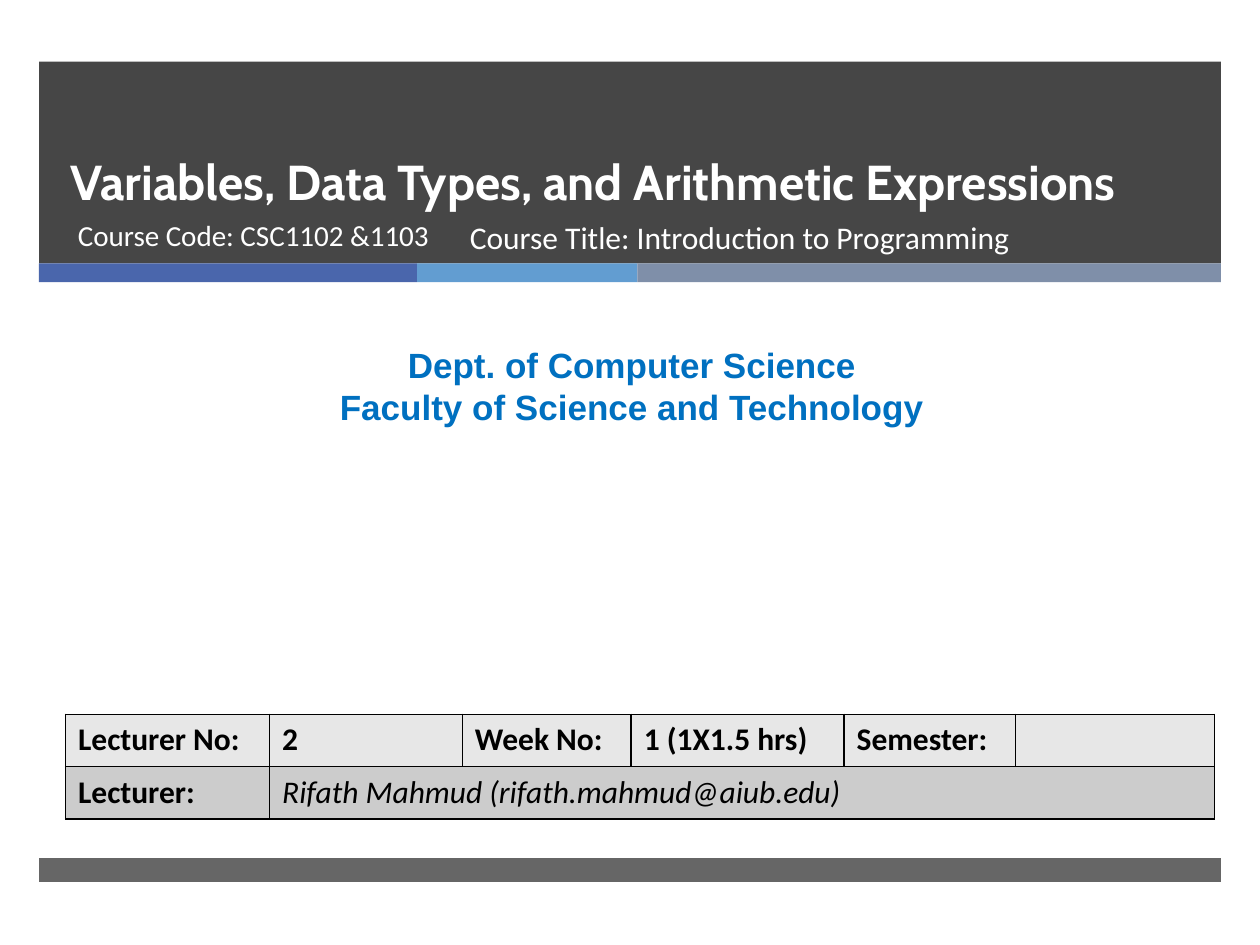
from lxml import etree
from pptx import Presentation
from pptx.dml.color import RGBColor
from pptx.enum.shapes import MSO_SHAPE
from pptx.enum.text import MSO_ANCHOR, PP_ALIGN
from pptx.oxml import parse_xml
from pptx.oxml.ns import nsdecls, qn
from pptx.util import Inches, Pt

RECTANGLE = MSO_SHAPE.RECTANGLE
TOP, BOTTOM = MSO_ANCHOR.TOP, MSO_ANCHOR.BOTTOM
LEFT, CENTER = PP_ALIGN.LEFT, PP_ALIGN.CENTER
COLORS = {
    "dark": "262626", "indigo": "4A66AC", "sky": "629DD1", "slate": "7F8FA9",
    "white": "FFFFFF", "department": "0070C0", "black": "000000",
    "light_row": "E7E7E7", "dark_row": "CCCCCC",
}
MARGIN, BAND_WIDTH = 0.31, 9.38


def rgb(name):
    """Return the named colour."""
    return RGBColor.from_string(COLORS[name])


def add_bar(slide, box, color, opacity=100):
    """Add a plain filled rectangle, optionally translucent."""
    shape = slide.shapes.add_shape(RECTANGLE, *map(Inches, box))
    shape.shadow.inherit = False
    shape.fill.solid()
    shape.fill.fore_color.rgb = rgb(color)
    shape.line.fill.background()
    if opacity < 100:
        color_element = shape.fill._xPr.find(qn("a:solidFill"))[0]
        etree.SubElement(color_element, qn("a:alpha")).set("val", str(opacity * 1000))


def style_font(font, name, size, color, bold=False, italic=False):
    """Set the look of a font."""
    font.name, font.size = name, Pt(size)
    font.bold, font.italic = bold, italic
    font.color.rgb = rgb(color)


def add_text(slide, box, text, name, size, color, bold=False,
             align=LEFT, anchor=TOP, spacing=None):
    """Add a wrapped text box with one look throughout."""
    frame = slide.shapes.add_textbox(*map(Inches, box)).text_frame
    frame.word_wrap = True
    frame.vertical_anchor = anchor
    frame.text = text
    for paragraph in frame.paragraphs:
        paragraph.alignment = align
        if spacing:
            paragraph.line_spacing = Pt(spacing)
        for run in paragraph.runs:
            style_font(run.font, name, size, color, bold)


def add_header(slide, left, top, width, height):
    """Add the title band, its course details and the coloured strip below."""
    add_bar(slide, (left, top, width, height), "dark", 85)
    strip_left = left
    for color, strip_width in (("indigo", 3), ("sky", 1.75), ("slate", width - 4.75)):
        add_bar(slide, (strip_left, top + height, strip_width, 0.15), color)
        strip_left += strip_width
    add_text(slide, (left + 0.15, top + 0.04, 8.54, 1.19),
             "Variables, Data Types, and Arithmetic Expressions",
             "Cabin", 28, "white", bold=True, anchor=BOTTOM, spacing=46)
    details_top = top + 1.19
    add_text(slide, (left + 0.21, details_top, 3.21, 0.53),
             "Course Code: CSC1102 &1103", "Calibri", 16.6, "white")
    add_text(slide, (left + 3.32, details_top, 4.55, 0.53),
             "Course Title: Introduction to Programming", "Calibri", 18, "white")


def add_department(slide, left, top, width, height):
    """Add the centred department and faculty lines."""
    add_text(slide, (left, top, width, height),
             "Dept. of Computer Science\nFaculty of Science and Technology",
             "Arial", 20, "department", bold=True, align=CENTER)


def style_cell(cell, fill):
    """Give a cell its black borders and its fill."""
    properties = cell._tc.get_or_add_tcPr()
    for side in ("lnL", "lnR", "lnT", "lnB"):
        properties.append(parse_xml(
            f'<a:{side} {nsdecls("a")} w="{Pt(1)}"><a:solidFill>'
            f'<a:srgbClr val="{COLORS["black"]}"/></a:solidFill></a:{side}>'))
    cell.fill.solid()
    cell.fill.fore_color.rgb = rgb(fill)


def add_lecture_table(slide, left, top, width, height):
    """Add the table of lecture details."""
    rows = (
        ("light_row", ("Lecturer No:", "2", "Week No:", "1 (1X1.5 hrs)", "Semester:", "")),
        ("dark_row", ("Lecturer:", "Rifath Mahmud (rifath.mahmud@aiub.edu)", "", "", "", "")),
    )
    column_widths = (1.62, 1.53, 1.34, 1.69, 1.36, 1.58)
    table = slide.shapes.add_table(
        len(rows), len(column_widths), *map(Inches, (left, top, width, height))).table
    for column, column_width in zip(table.columns, column_widths):
        column.width = Inches(column_width)
    for row_index, (fill, texts) in enumerate(rows):
        for column_index, text in enumerate(texts):
            cell = table.cell(row_index, column_index)
            style_cell(cell, fill)
            cell.text = text
            is_name = row_index == 1 and column_index == 1
            for run in cell.text_frame.paragraphs[0].runs:
                style_font(run.font, "Calibri", 18, "black", not is_name, is_name)
    table.cell(1, 1).merge(table.cell(1, 5))


def add_footer(slide, left, top, width, height):
    """Add the grey band at the foot."""
    add_bar(slide, (left, top, width, height), "dark", 70)


def main():
    """Build the course title slide and save it."""
    presentation = Presentation()
    presentation.slide_width, presentation.slide_height = Inches(10), Inches(7.5)
    slide = presentation.slides.add_slide(presentation.slide_layouts[6])
    add_header(slide, MARGIN, 0.49, BAND_WIDTH, 1.6)
    add_footer(slide, MARGIN, 6.81, BAND_WIDTH, 0.19)
    add_department(slide, 0.08, 2.68, 9.87, 0.77)
    add_lecture_table(slide, 0.52, 5.67, 9.12, 0.83)
    presentation.save("out.pptx")


if __name__ == "__main__":
    main()
